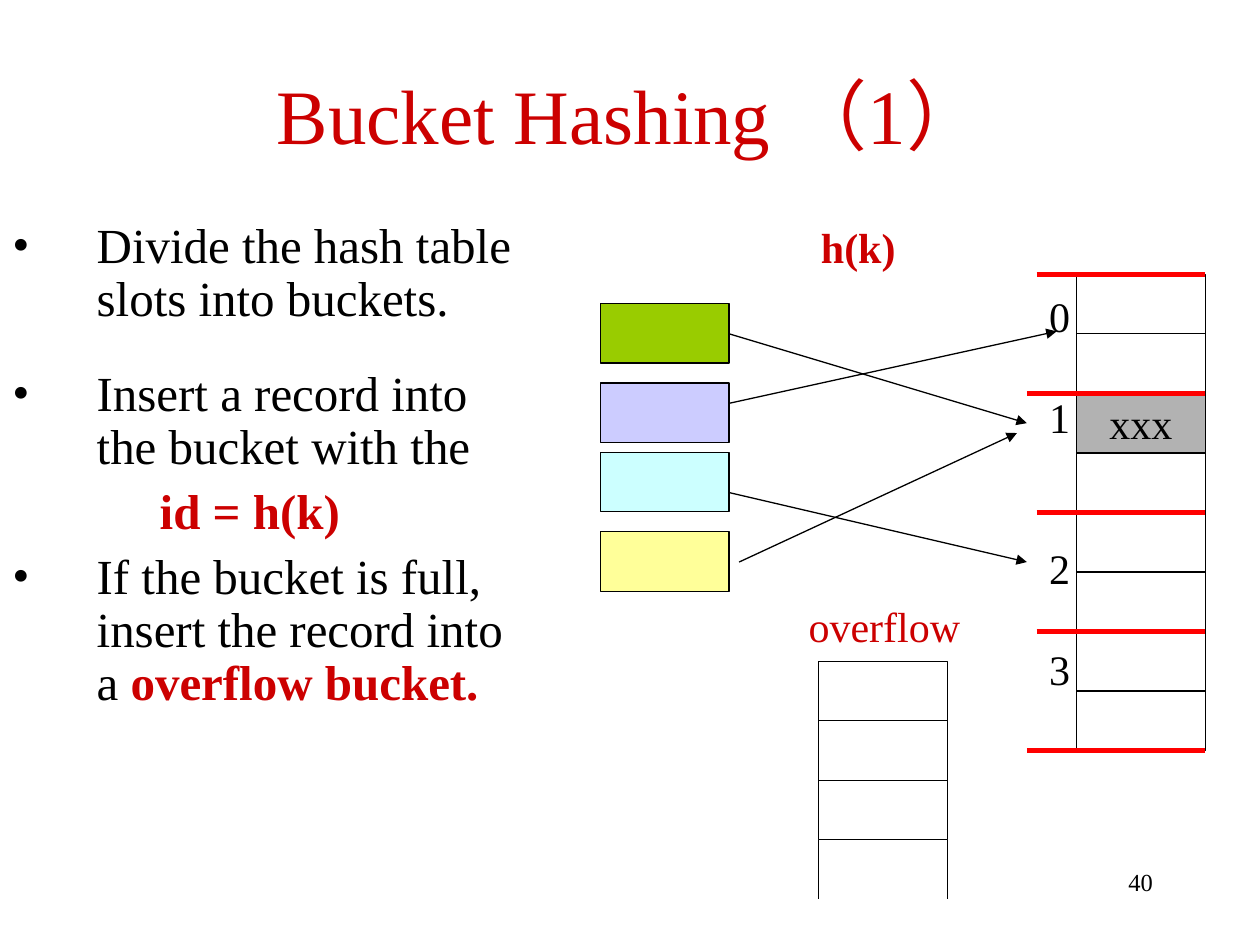
from lxml import etree
from pptx import Presentation
from pptx.dml.color import RGBColor
from pptx.enum.shapes import MSO_CONNECTOR, MSO_SHAPE
from pptx.enum.text import MSO_ANCHOR, PP_ALIGN
from pptx.oxml.ns import qn
from pptx.util import Cm, Pt

LEFT, CENTER, RIGHT = PP_ALIGN.LEFT, PP_ALIGN.CENTER, PP_ALIGN.RIGHT
MIDDLE = MSO_ANCHOR.MIDDLE
RECTANGLE, STRAIGHT = MSO_SHAPE.RECTANGLE, MSO_CONNECTOR.STRAIGHT
FONT = "Times New Roman"
BLACK, CRIMSON, RED, GRAY = "000000", "CC0000", "FF0000", "B2B2B2"

TITLE = "Bucket Hashing （1）"
PAGE_NUMBER = "40"
POINTS = [
    (True, 0, [("Divide the hash table slots into buckets.", False)]),
    (True, 24, [("Insert a record into the bucket with the", False)]),
    (False, 7, [("id = h(k)", True)]),
    (True, 7, [("If the bucket is full, insert the record into a ", False),
               ("overflow bucket.", True)]),
]
KEYS = [(6.12, "99CC00"), (7.72, "CCCCFF"), (9.12, "CCFFFF"), (10.72, "FFFF99")]
ARROWS = [
    (14.7, 8.13, 21.3, 6.68),
    (14.7, 6.73, 20.7, 8.53),
    (14.7, 9.93, 20.7, 11.33),
    (14.9, 11.33, 20.5, 8.73),
]
LABELS = [
    ("h(k)", 16.3, 4.34, 2.1, True),
    ("overflow", 16.05, 11.98, 3.8, False),
]
BUCKETS = [("0", 0), ("1", 1), ("2", 2), ("3", 1)]
LINE_HEIGHT = 28.8
SLOT_WIDTH, SLOT_HEIGHT = 2.6, 1.2
KEY_LEFT = 12.1
TABLE_LEFT, TABLE_TOP, SLOT_COUNT, FULL_SLOT = 21.7, 5.53, 8, 2
DIVIDER_STARTS, DIVIDER_END = [20.9, 20.7, 20.9, 20.9, 20.7], 24.3
OVERFLOW_LEFT, OVERFLOW_TOP, OVERFLOW_COUNT = 16.5, 13.33, 3


def color(value):
    return RGBColor.from_string(value)


def format_span(span, size, value=BLACK, bold=False):
    span.font.name = FONT
    span.font.size = Pt(size)
    span.font.bold = bold
    span.font.color.rgb = color(value)


def add_text(page, text, left, top, width, height, size, value=BLACK,
             bold=False, align=LEFT, wrap=False):
    box = page.shapes.add_textbox(Cm(left), Cm(top), Cm(width), Cm(height))
    frame = box.text_frame
    frame.word_wrap = wrap
    frame.text = text
    for para in frame.paragraphs:
        para.alignment = align
        for span in para.runs:
            format_span(span, size, value, bold)
    return frame


def add_slot(page, left, top, fill=None):
    slot = page.shapes.add_shape(
        RECTANGLE, Cm(left), Cm(top), Cm(SLOT_WIDTH), Cm(SLOT_HEIGHT))
    slot.shadow.inherit = False
    if fill:
        slot.fill.solid()
        slot.fill.fore_color.rgb = color(fill)
    else:
        slot.fill.background()
    slot.line.color.rgb = color(BLACK)
    slot.line.width = Pt(0.75)
    return slot


def add_line(page, ends, value=BLACK, width=0.75, arrow=False):
    line = page.shapes.add_connector(STRAIGHT, *(Cm(end) for end in ends))
    line.line.color.rgb = color(value)
    line.line.width = Pt(width)
    properties = line._element.spPr
    if arrow:
        etree.SubElement(properties.find(qn("a:ln")), qn("a:tailEnd"), type="triangle")
    etree.SubElement(properties, qn("a:effectLst"))


def set_indent(para, bullet):
    properties = para._p.get_or_add_pPr()
    properties.set("marL", str(Cm(1.7 if bullet else 2.97)))
    properties.set("indent", str(Cm(-1.7 if bullet else 0)))
    if bullet:
        bullet_color = etree.SubElement(properties, qn("a:buClr"))
        etree.SubElement(bullet_color, qn("a:srgbClr"), val=BLACK)
        etree.SubElement(properties, qn("a:buFont"), typeface=FONT)
        etree.SubElement(properties, qn("a:buChar"), char="•")


def add_title(page):
    title = page.shapes.title
    title.left, title.top, title.width, title.height = Cm(1.27), Cm(1.02), Cm(22.86), Cm(2.54)
    title.text_frame.text = TITLE
    title.text_frame.vertical_anchor = MIDDLE
    para = title.text_frame.paragraphs[0]
    para.alignment = CENTER
    format_span(para.runs[0], 44, CRIMSON)


def add_points(page):
    frame = add_text(page, "\n".join([""] * len(POINTS)), 0, 4.34, 11.02, 12.88, 28, wrap=True)
    for para, (bullet, gap, spans) in zip(frame.paragraphs, POINTS):
        set_indent(para, bullet)
        para.line_spacing = 0.9
        para.space_before = Pt(gap)
        for text, strong in spans:
            span = para.add_run()
            span.text = text
            format_span(span, 28, CRIMSON if strong else BLACK, strong)


def add_hash_table(page):
    for index in range(SLOT_COUNT):
        full = index == FULL_SLOT
        slot = add_slot(page, TABLE_LEFT, TABLE_TOP + index * SLOT_HEIGHT, GRAY if full else None)
        if full:
            frame = slot.text_frame
            frame.text = "xxx"
            frame.word_wrap = False
            frame.vertical_anchor = MIDDLE
            frame.paragraphs[0].alignment = CENTER
            format_span(frame.paragraphs[0].runs[0], 24)
    for index, start in enumerate(DIVIDER_STARTS):
        height = TABLE_TOP + 2 * index * SLOT_HEIGHT
        add_line(page, (start, height, DIVIDER_END, height), RED, 3)
    numbers = "\n".join(number for number, _ in BUCKETS)
    frame = add_text(page, numbers, 20.9, 5.74, 0.95, 8.38, 24)
    for para, (_, skipped) in zip(frame.paragraphs, BUCKETS):
        para.space_before = Pt(skipped * LINE_HEIGHT)


def add_overflow(page):
    for index in range(OVERFLOW_COUNT):
        add_slot(page, OVERFLOW_LEFT, OVERFLOW_TOP + index * SLOT_HEIGHT)
    bottom = OVERFLOW_TOP + OVERFLOW_COUNT * SLOT_HEIGHT
    for side in (OVERFLOW_LEFT, OVERFLOW_LEFT + SLOT_WIDTH):
        add_line(page, (side, bottom, side, bottom + SLOT_HEIGHT))


def main():
    deck = Presentation()
    deck.slide_width, deck.slide_height = Cm(25.4), Cm(19.05)
    page = deck.slides.add_slide(deck.slide_layouts[5])
    add_title(page)
    add_points(page)
    add_hash_table(page)
    add_overflow(page)
    for top, fill in KEYS:
        add_slot(page, KEY_LEFT, top, fill)
    for ends in ARROWS:
        add_line(page, ends, arrow=True)
    for text, left, top, width, bold in LABELS:
        add_text(page, text, left, top, width, 1.27, 24, CRIMSON, bold)
    add_text(page, PAGE_NUMBER, 18.21, 17.35, 5.28, 1.27, 14, align=RIGHT, wrap=True)
    deck.save("out.pptx")


if __name__ == "__main__":
    main()
